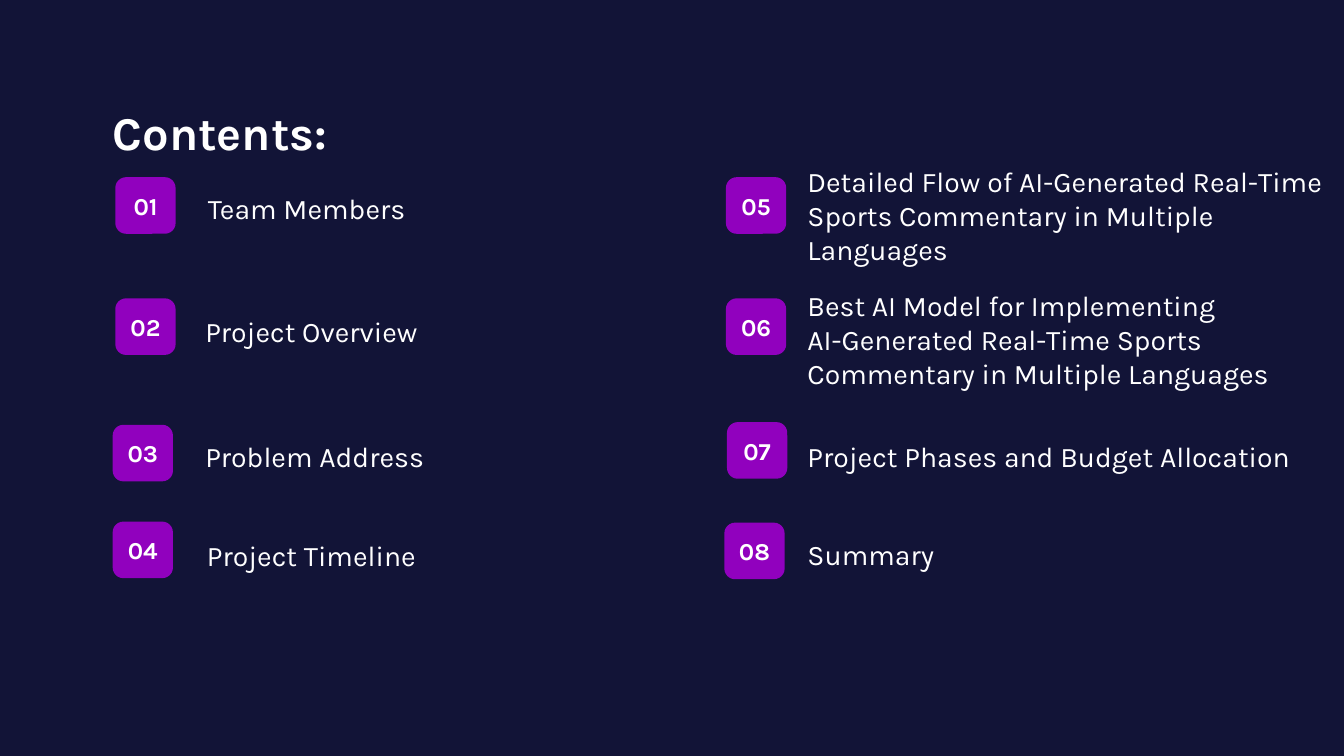
from dataclasses import dataclass

from pptx import Presentation
from pptx.dml.color import RGBColor
from pptx.enum.shapes import MSO_SHAPE
from pptx.enum.text import MSO_ANCHOR, MSO_AUTO_SIZE, PP_ALIGN
from pptx.slide import Slide
from pptx.text.text import TextFrame
from pptx.util import Cm, Pt

NAVY = RGBColor(0x12, 0x14, 0x37)
PURPLE = RGBColor(0x91, 0x01, 0xBE)
WHITE = RGBColor(0xFF, 0xFF, 0xFF)
FONT = "Karla"

INSET = 0.25
BADGE_WIDTH, BADGE_HEIGHT = 1.14, 1.07
LABEL_HEIGHT = 1.07
RIGHT_LABEL_LEFT, RIGHT_LABEL_WIDTH = 15.01, 10.26


@dataclass
class Entry:
    """One contents line; lengths in centimetres, label anchored at its bottom."""
    label: str
    badge_left: float
    badge_top: float
    label_left: float
    label_bottom: float
    label_width: float


ENTRIES = [
    Entry("Team Members", 2.18, 3.35, 3.68, 4.5, 4.8),
    Entry("Project Overview", 2.18, 5.64, 3.63, 6.83, 6.55),
    Entry("Problem Address", 2.13, 8.03, 3.63, 9.19, 5.64),
    Entry("Project Timeline", 2.13, 9.86, 3.66, 11.07, 4.98),
    Entry("Detailed Flow of AI-Generated Real-Time Sports Commentary in Multiple Languages",
          13.72, 3.35, RIGHT_LABEL_LEFT, 5.28, RIGHT_LABEL_WIDTH),
    Entry("Best AI Model for Implementing\vAI-Generated Real-Time Sports\v"
          "Commentary in Multiple Languages",
          13.72, 5.64, RIGHT_LABEL_LEFT, 7.62, RIGHT_LABEL_WIDTH),
    Entry("Project Phases and Budget Allocation",
          13.74, 7.98, RIGHT_LABEL_LEFT, 9.19, RIGHT_LABEL_WIDTH),
    Entry("Summary", 13.69, 9.88, RIGHT_LABEL_LEFT, 11.05, RIGHT_LABEL_WIDTH),
]


def write(frame: TextFrame, text: str, size: float, bold: bool = False,
          align: PP_ALIGN = PP_ALIGN.LEFT, anchor: MSO_ANCHOR = MSO_ANCHOR.TOP,
          side_inset: float = INSET) -> None:
    frame.text = text
    frame.word_wrap = True
    frame.auto_size = MSO_AUTO_SIZE.NONE
    frame.vertical_anchor = anchor
    frame.margin_left = frame.margin_right = Cm(side_inset)
    frame.margin_top = frame.margin_bottom = Cm(INSET)
    paragraph = frame.paragraphs[0]
    paragraph.alignment = align
    for run in paragraph.runs:
        run.font.name = FONT
        run.font.size = Pt(size)
        run.font.bold = bold
        run.font.color.rgb = WHITE


def add_title(slide: Slide, text: str) -> None:
    title = slide.shapes.title
    title.left, title.top, title.width, title.height = Cm(1.88), Cm(1.7), Cm(20.6), Cm(1.5)
    write(title.text_frame, text, 25.2, bold=True)


def add_badge(slide: Slide, entry: Entry, number: int) -> None:
    badge = slide.shapes.add_shape(
        MSO_SHAPE.ROUNDED_RECTANGLE, Cm(entry.badge_left), Cm(entry.badge_top),
        Cm(BADGE_WIDTH), Cm(BADGE_HEIGHT))
    badge.adjustments[0] = 0.19
    badge.shadow.inherit = False
    badge.fill.solid()
    badge.fill.fore_color.rgb = PURPLE
    badge.line.fill.background()
    write(badge.text_frame, f"{number:02}", 13, bold=True, align=PP_ALIGN.CENTER,
          anchor=MSO_ANCHOR.MIDDLE, side_inset=0)


def add_label(slide: Slide, entry: Entry) -> None:
    label = slide.shapes.add_textbox(
        Cm(entry.label_left), Cm(entry.label_bottom - LABEL_HEIGHT),
        Cm(entry.label_width), Cm(LABEL_HEIGHT))
    write(label.text_frame, entry.label, 15.2, anchor=MSO_ANCHOR.BOTTOM)


def main() -> None:
    presentation = Presentation()
    presentation.slide_width, presentation.slide_height = Cm(25.4), Cm(14.29)
    slide = presentation.slides.add_slide(presentation.slide_layouts.get_by_name("Title Only"))
    slide.background.fill.solid()
    slide.background.fill.fore_color.rgb = NAVY

    add_title(slide, "Contents:")
    for number, entry in enumerate(ENTRIES, start=1):
        add_badge(slide, entry, number)
        add_label(slide, entry)

    presentation.save("out.pptx")


if __name__ == "__main__":
    main()
